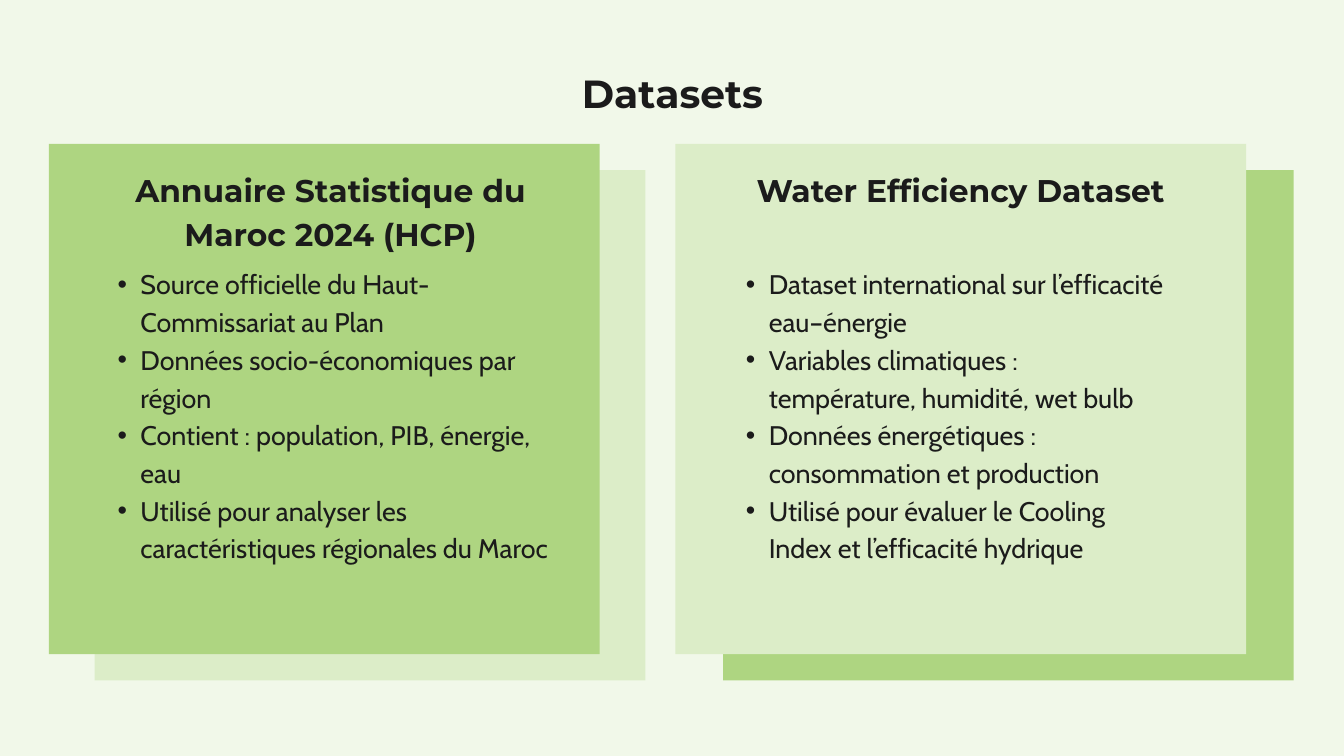
from dataclasses import dataclass
from lxml import etree
from pptx import Presentation
from pptx.dml.color import RGBColor
from pptx.enum.shapes import MSO_SHAPE
from pptx.enum.text import PP_ALIGN
from pptx.oxml.ns import qn
from pptx.util import Cm, Pt

RECT = MSO_SHAPE.RECTANGLE
LEFT, CENTER = PP_ALIGN.LEFT, PP_ALIGN.CENTER

TITLE = "Datasets"
CARDS = [
    {
        "head": "Annuaire Statistique du Maroc 2024 (HCP)",
        "items": [
            "Source officielle du Haut-Commissariat au Plan",
            "Données socio-économiques par région",
            "Contient : population, PIB, énergie, eau",
            "Utilisé pour analyser les caractéristiques régionales du Maroc",
        ],
        "fills": ("AED581", "DCEDC8"),
        "left": 1.85, "width": 20.82, "shift": 1.73,
        "head_box": (3.58, 17.83), "list_box": (3.58, 17.83),
    },
    {
        "head": "Water Efficiency Dataset",
        "items": [
            "Dataset international sur l’efficacité eau–énergie",
            "Variables climatiques : température, humidité, wet bulb",
            "Données énergétiques : consommation et production",
            "Utilisé pour évaluer le Cooling Index et l’efficacité hydrique",
        ],
        "fills": ("DCEDC8", "AED581"),
        "left": 25.53, "width": 21.57, "shift": 1.8,
        "head_box": (27.08, 18.47), "list_box": (27.33, 16.74),
    },
]
TOP, HEIGHT, DROP = 5.44, 19.29, 0.99
INDENT = 1.73


@dataclass(frozen=True)
class Theme:
    back: str = "F1F8E9"
    ink: str = "1B1B1B"
    title: tuple = ("Montserrat", 42, 58.8, True)
    head: tuple = ("Montserrat", 33.6, 47.1, True)
    body: tuple = ("Cabin", 28.8, 40.4, False)


THEME = Theme()


def add_panel(slide, left, top, width, color):
    panel = slide.shapes.add_shape(RECT, Cm(left), Cm(top), Cm(width), Cm(HEIGHT))
    panel.shadow.inherit = False
    panel.fill.solid()
    panel.fill.fore_color.rgb = RGBColor.from_string(color)
    panel.line.fill.background()


def add_bullet(para):
    props = para._p.get_or_add_pPr()
    props.set("marL", str(Cm(INDENT)))
    props.set("indent", str(-Cm(INDENT / 2)))
    etree.SubElement(props, qn("a:buFont"), typeface="Arial")
    etree.SubElement(props, qn("a:buChar"), char="•")


def add_text(slide, box, lines, style, bullets=False):
    name, size, pitch, bold = style
    frame = slide.shapes.add_textbox(*map(Cm, box)).text_frame
    frame.word_wrap = True
    frame.margin_left = frame.margin_right = 0
    frame.margin_top = frame.margin_bottom = 0
    for i, line in enumerate(lines):
        para = frame.add_paragraph() if i else frame.paragraphs[0]
        para.text = line
        para.alignment = LEFT if bullets else CENTER
        if bullets:
            add_bullet(para)
        para.line_spacing = Pt(pitch)
        font = para.font
        font.name, font.size, font.bold = name, Pt(size), bold
        font.color.rgb = RGBColor.from_string(THEME.ink)


def add_card(slide, card):
    left, width = card["left"], card["width"]
    front, rear = card["fills"]
    add_panel(slide, left + card["shift"], TOP + DROP, width, rear)
    add_panel(slide, left, TOP, width, front)
    x, span = card["head_box"]
    add_text(slide, (x, 6.25, span, 3.25), [card["head"]], THEME.head)
    x, span = card["list_box"]
    add_text(slide, (x, 9.93, span, 12.57), card["items"], THEME.body, True)


def main():
    deck = Presentation()
    deck.slide_width, deck.slide_height = Cm(50.8), Cm(28.58)
    slide = deck.slides.add_slide(deck.slide_layouts[6])
    slide.background.fill.solid()
    slide.background.fill.fore_color.rgb = RGBColor.from_string(THEME.back)
    add_text(slide, (16.36, 2.34, 18.11, 1.98), [TITLE], THEME.title)
    for card in CARDS:
        add_card(slide, card)
    deck.save("out.pptx")


if __name__ == "__main__":
    main()
